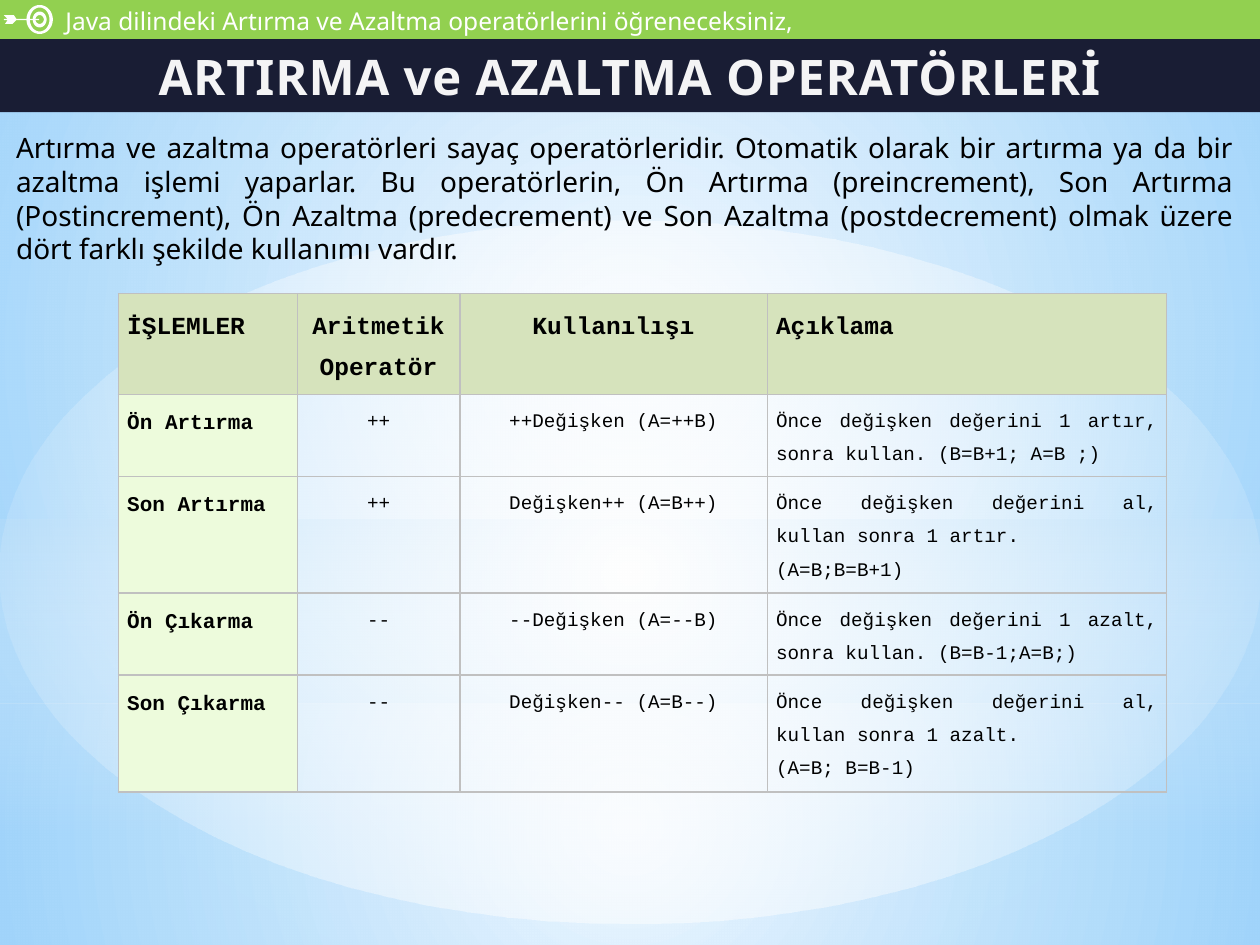
import math

import lxml.etree
import pptx
import pptx.dml.color
import pptx.enum.shapes
import pptx.enum.text
import pptx.oxml
import pptx.oxml.ns
import pptx.util

Inches = pptx.util.Inches
RGBColor = pptx.dml.color.RGBColor
ALIGN = pptx.enum.text.PP_ALIGN
PRESET = pptx.enum.shapes.MSO_SHAPE
qn = pptx.oxml.ns.qn

WHITE = RGBColor(0xFF, 0xFF, 0xFF)
BLACK = RGBColor(0x00, 0x00, 0x00)
SKY = RGBColor(0x9C, 0xD4, 0xFF)
DEEP_SKY = RGBColor(0x5B, 0xB9, 0xFF)
PALE_SKY = RGBColor(0xB4, 0xDC, 0xFA)
NAVY = RGBColor(0x19, 0x1D, 0x34)
GREEN = RGBColor(0x92, 0xD0, 0x50)
OFF_WHITE = RGBColor(0xF4, 0xF4, 0xF5)
HEADER_GREEN = RGBColor(0xD6, 0xE3, 0xBC)
LABEL_GREEN = RGBColor(0xED, 0xFB, 0xDC)
BORDER_GRAY = RGBColor(0xC0, 0xC0, 0xC0)

CENTRE = (50, 50, 50, 50)
COLUMNS = (1.42, 1.29, 2.44, 3.17)
ROWS = (0.7, 0.55, 0.82, 0.55, 0.82)
CELLS = (
    ("İŞLEMLER", "Aritmetik Operatör", "Kullanılışı", "Açıklama"),
    ("Ön Artırma", "++", "++Değişken (A=++B)",
     "Önce değişken değerini 1 artır, sonra kullan. (B=B+1; A=B ;) "),
    ("Son Artırma", "++", "Değişken++ (A=B++)",
     "Önce değişken değerini al, kullan sonra 1 artır.\n(A=B;B=B+1)"),
    ("Ön Çıkarma", "--", "--Değişken (A=--B)",
     "Önce değişken değerini 1 azalt, sonra kullan. (B=B-1;A=B;) "),
    ("Son Çıkarma", "--", "Değişken-- (A=B--)",
     "Önce değişken değerini al, kullan sonra 1 azalt.\n(A=B; B=B-1)"),
)


def set_gradient(owner, fill, stops, focus=None):
    """Fill with (position, colour, opacity) stops, radial when a focus is given."""
    fill.gradient()
    gradient = next(owner.iter(qn("a:gradFill")))
    for child in list(gradient):
        gradient.remove(child)
    stop_list = lxml.etree.SubElement(gradient, qn("a:gsLst"))
    for position, colour, opacity in stops:
        stop = lxml.etree.SubElement(stop_list, qn("a:gs"), pos=str(position * 1000))
        tint = lxml.etree.SubElement(stop, qn("a:srgbClr"), val=str(colour))
        lxml.etree.SubElement(tint, qn("a:alpha"), val=str(opacity * 1000))
    if focus:
        radial = lxml.etree.SubElement(gradient, qn("a:path"), path="circle")
        sides = {side: str(value * 1000) for side, value in zip("ltrb", focus)}
        lxml.etree.SubElement(radial, qn("a:fillToRect"), **sides)
    else:
        lxml.etree.SubElement(gradient, qn("a:lin"), ang="5400000", scaled="0")


def add_plain_shape(page, preset, left, top, width, height):
    """Add a preset shape without line or shadow."""
    shape = page.shapes.add_shape(
        preset, Inches(left), Inches(top), Inches(width), Inches(height))
    shape.shadow.inherit = False
    shape.line.fill.background()
    return shape


def add_backdrop(page):
    """Lay the sky background and its translucent glows."""
    set_gradient(page.background._cSld, page.background.fill,
                 ((0, SKY, 100), (100, DEEP_SKY, 100)), (50, 25, 50, 75))
    glows = (
        (PRESET.RECTANGLE, 5.58, 1.92, ((0, WHITE, 91), (100, PALE_SKY, 79)), CENTRE),
        (PRESET.RECTANGLE, 0, 5.58, ((0, WHITE, 89), (100, PALE_SKY, 79)), CENTRE),
        (PRESET.RECTANGLE, 4.12, 2.5, ((0, PALE_SKY, 60), (100, WHITE, 0)), None),
        (PRESET.OVAL, 1.75, 5.58, ((0, WHITE, 100), (100, WHITE, 0)), CENTRE),
    )
    for preset, top, height, stops, focus in glows:
        glow = add_plain_shape(page, preset, 0, top, 10, height)
        set_gradient(glow._element, glow.fill, stops, focus)


def format_text(frame, font, size, colour, align, bold=False, spacing=None):
    """Format every paragraph and run of a text frame."""
    for para in frame.paragraphs:
        para.alignment = align
        para.line_spacing = spacing
        for span in para.runs:
            span.font.name = font
            span.font.size = pptx.util.Pt(size)
            span.font.bold = bold
            span.font.color.rgb = colour


def add_text(page, text, left, top, width, height, size, colour, align):
    """Add a wrapped text box."""
    box = page.shapes.add_textbox(
        Inches(left), Inches(top), Inches(width), Inches(height))
    box.text_frame.word_wrap = True
    box.text_frame.text = text
    format_text(box.text_frame, "Noto Sans", size, colour, align)


def place_title(page, text):
    """Turn the title placeholder into the dark heading band."""
    title = page.shapes.title
    title.left, title.top = Inches(0), Inches(0.31)
    title.width, title.height = Inches(10), Inches(0.58)
    title.fill.solid()
    title.fill.fore_color.rgb = NAVY
    title.text_frame.text = text
    title.text_frame.auto_size = pptx.enum.text.MSO_AUTO_SIZE.NONE
    title.text_frame.vertical_anchor = pptx.enum.text.MSO_ANCHOR.MIDDLE
    format_text(title.text_frame, "Noto Sans", 28, OFF_WHITE, ALIGN.CENTER, True)
    title.text_frame.paragraphs[0].runs[0].font._element.set("spc", "50")
    title._element.getparent().append(title._element)


def ellipse_points(radius_x, radius_y, turn):
    """Return points around the target centre in the given direction."""
    angles = [turn * math.tau * step / 40 for step in range(40)]
    return [(0.315 + radius_x * math.cos(a), 0.155 + radius_y * math.sin(a))
            for a in angles]


def add_outline(page, contours):
    """Draw closed contours, given in inches, as one white freeform."""
    builder = None
    for contour in contours:
        first, *others = [(Inches(x), Inches(y)) for x, y in contour]
        if builder is None:
            builder = page.shapes.build_freeform(*first)
        else:
            builder.move_to(*first)
        builder.add_line_segments(others, close=True)
    outline = builder.convert_to_shape()
    outline.shadow.inherit = False
    outline.line.fill.background()
    outline.fill.solid()
    outline.fill.fore_color.rgb = WHITE


def add_target(page):
    """Draw the target rings and the arrow that hits them."""
    radii = ((0.105, 0.115), (0.078, 0.095), (0.055, 0.063), (0.033, 0.035))
    add_outline(page, [ellipse_points(*pair, (-1) ** index)
                       for index, pair in enumerate(radii)])
    add_outline(page, [[
        (0.03, 0.12), (0.11, 0.12), (0.13, 0.15), (0.31, 0.15), (0.31, 0.16),
        (0.13, 0.16), (0.1, 0.19), (0.04, 0.19), (0.06, 0.16), (0.03, 0.16),
        (0.03, 0.15), (0.06, 0.15)]])


def set_borders(cell):
    """Draw the four thin gray borders of a cell."""
    properties = cell._tc.get_or_add_tcPr()
    for index, side in enumerate(("lnL", "lnR", "lnT", "lnB")):
        border = lxml.etree.Element(qn("a:" + side), w=str(pptx.util.Pt(0.96)))
        fill = lxml.etree.SubElement(border, qn("a:solidFill"))
        lxml.etree.SubElement(fill, qn("a:srgbClr"), val=str(BORDER_GRAY))
        properties.insert(index, border)


def fill_cell(cell, text, row, column):
    """Write and style one cell by its place in the table."""
    header, label = row == 0, column == 0
    cell.text_frame.text = text
    cell.margin_left = cell.margin_right = Inches(0.07)
    if header or label:
        cell.fill.solid()
        cell.fill.fore_color.rgb = HEADER_GREEN if header else LABEL_GREEN
    else:
        cell.fill.background()
    side_align = ALIGN.JUSTIFY if column == 3 and not header else ALIGN.LEFT
    align = ALIGN.CENTER if column in (1, 2) else side_align
    size = 14 if header else 12 if label else 11
    format_text(cell.text_frame, "Courier New", size, BLACK, align, header or label, 1.5)
    set_borders(cell)


def add_operator_table(page):
    """Add the table of increment and decrement operators."""
    table = page.shapes.add_table(
        len(ROWS), len(COLUMNS), Inches(0.94), Inches(2.33),
        Inches(sum(COLUMNS)), Inches(sum(ROWS))).table
    table.horz_banding = False
    for column, width in zip(table.columns, COLUMNS):
        column.width = Inches(width)
    for row, height in enumerate(ROWS):
        table.rows[row].height = Inches(height)
        for column, text in enumerate(CELLS[row]):
            fill_cell(table.cell(row, column), text, row, column)


def main():
    """Build and save the slide."""
    deck = pptx.Presentation()
    deck.slide_width, deck.slide_height = Inches(10), Inches(7.5)
    page = deck.slides.add_slide(deck.slide_layouts[5])
    add_backdrop(page)
    add_text(page, "Artırma ve azaltma operatörleri sayaç operatörleridir. Otomatik olarak "
             "bir artırma ya da bir azaltma işlemi yaparlar. Bu operatörlerin, Ön Artırma "
             "(preincrement), Son Artırma (Postincrement), Ön Azaltma (predecrement) ve Son "
             "Azaltma (postdecrement) olmak üzere dört farklı şekilde kullanımı vardır.",
             0.03, 0.99, 9.86, 1.16, 16, BLACK, ALIGN.JUSTIFY)
    place_title(page, "ARTIRMA ve AZALTMA OPERATÖRLERİ")
    band = add_plain_shape(page, PRESET.RECTANGLE, 0, 0, 10, 0.31)
    band.fill.solid()
    band.fill.fore_color.rgb = GREEN
    add_target(page)
    add_text(page, "Java dilindeki Artırma ve Azaltma operatörlerini öğreneceksiniz,",
             0.42, 0, 8.42, 0.33, 14, WHITE, ALIGN.LEFT)
    add_operator_table(page)
    deck.save("out.pptx")


main()
